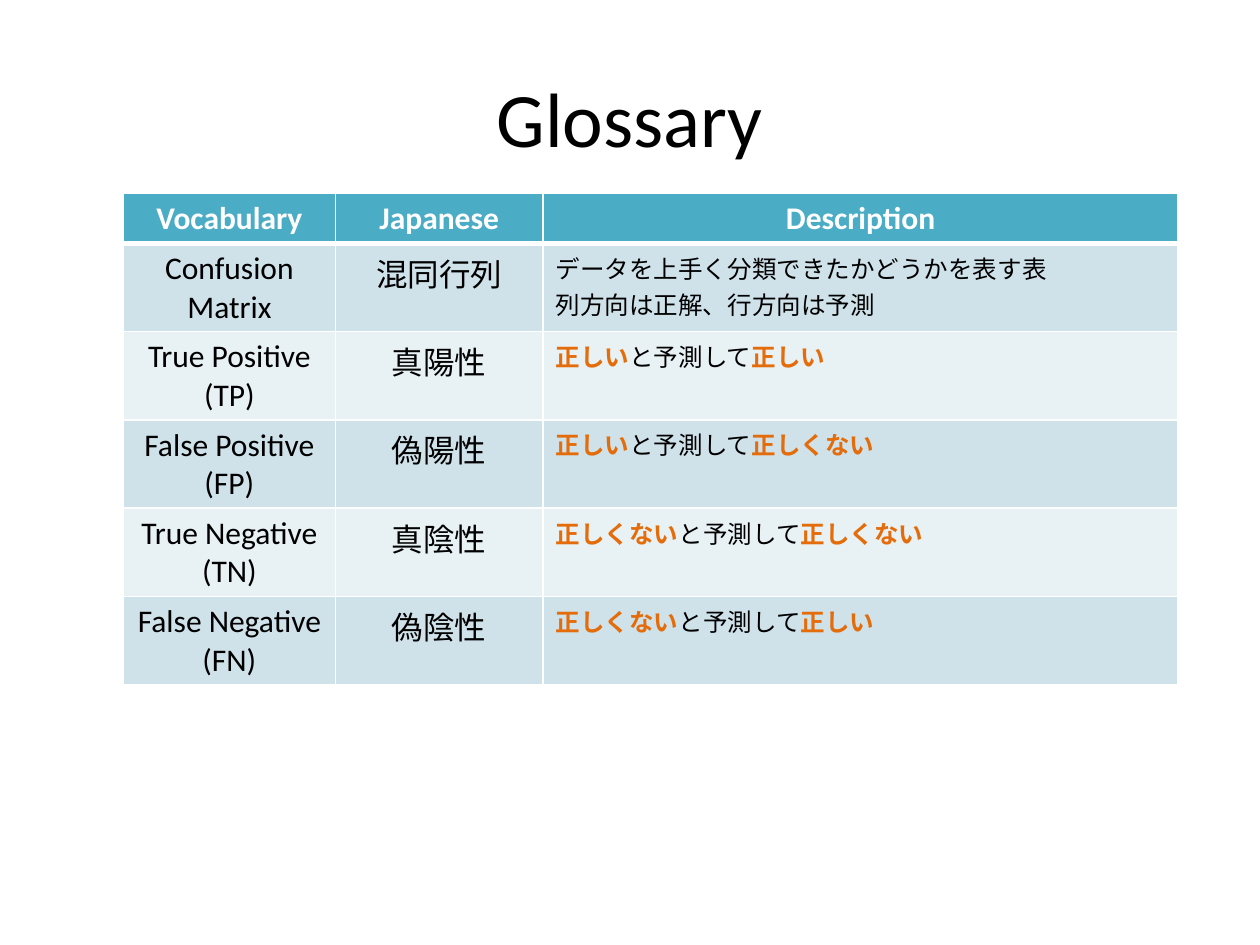
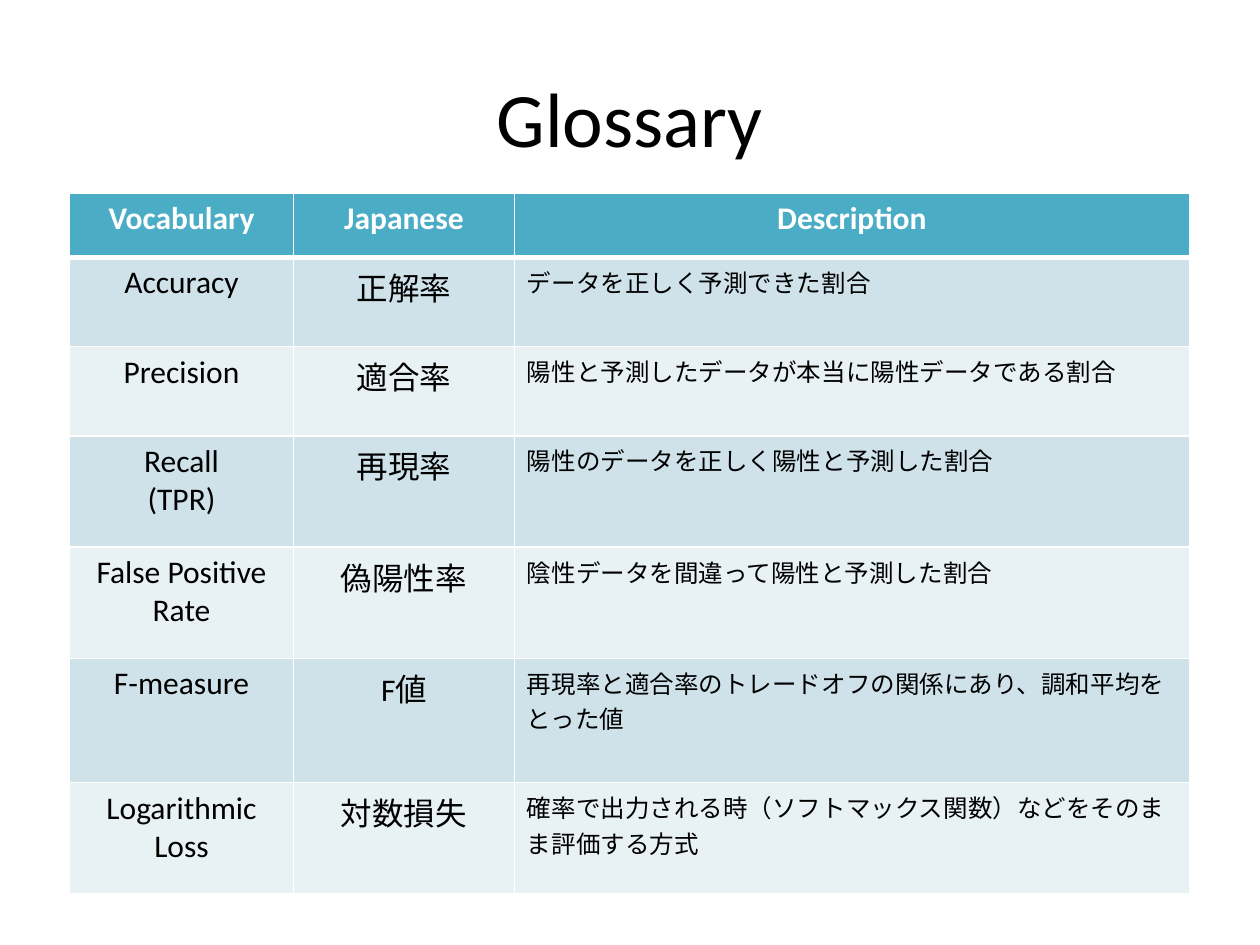
from lxml.etree import SubElement
from pptx import Presentation
from pptx.dml.color import RGBColor
from pptx.enum.lang import MSO_LANGUAGE_ID as Language
from pptx.enum.text import MSO_ANCHOR as Anchor, PP_ALIGN as Align
from pptx.oxml.ns import qn
from pptx.util import Cm, Pt

FONT = "Calibri"
BLACK = RGBColor(0x00, 0x00, 0x00)
WHITE = RGBColor(0xFF, 0xFF, 0xFF)
TEAL = RGBColor(0x4B, 0xAC, 0xC6)
BAND_DARK = RGBColor(0xCF, 0xE2, 0xEA)
BAND_LIGHT = RGBColor(0xE8, 0xF1, 0xF4)
ORANGE = RGBColor(0xE4, 0x6C, 0x0A)

HEADINGS = ("Vocabulary", "Japanese", "Description")
TABLE_TOP = Cm(3.89)
THIN, THICK = Pt(0.96), Pt(3)

# Text between asterisks is emphasised.
GLOSSARIES = [
    {
        "left": 2.49,
        "columns": (4.27, 4.19, 12.8),
        "rows": (0.89,) + (1.52,) * 5,
        "terms": [
            ("Confusion Matrix", "混同行列", "データを上手く分類できたかどうかを表す表\n列方向は正解、行方向は予測"),
            ("True Positive\n(TP)", "真陽性", "*正しい*と予測して*正しい*"),
            ("False Positive\n(FP)", "偽陽性", "*正しい*と予測して*正しくない*"),
            ("True Negative\n(TN)", "真陰性", "*正しくない*と予測して*正しくない*"),
            ("False Negative\n(FN)", "偽陰性", "*正しくない*と予測して*正しい*"),
        ],
    },
    {
        "left": 1.4,
        "columns": (4.52, 4.45, 13.61),
        "rows": (1.3, 1.8, 1.8, 2.24, 2.24, 2.51, 2.24),
        "terms": [
            ("Accuracy", "正解率", "データを正しく予測できた割合"),
            ("Precision", "適合率", "陽性と予測したデータが本当に陽性データである割合"),
            ("Recall\n(TPR)", "再現率", "陽性のデータを正しく陽性と予測した割合"),
            ("False Positive Rate", "偽陽性率", "陰性データを間違って陽性と予測した割合"),
            ("F-measure", "F値", "再現率と適合率のトレードオフの関係にあり、調和平均をとった値"),
            ("Logarithmic Loss", "対数損失", "確率で出力される時（ソフトマックス関数）などをそのまま評価する方式"),
        ],
    },
]


def write(paragraph, marked_text, size, color, bold=False):
    for index, piece in enumerate(marked_text.split("*")):
        if not piece:
            continue
        emphasised = index % 2 == 1
        run = paragraph.add_run()
        run.text = piece
        run.font.name = FONT
        run.font.size = Pt(size)
        run.font.bold = bold or emphasised
        run.font.color.rgb = ORANGE if emphasised else color
        run.font.language_id = Language.JAPANESE


def add_borders(cell, top, bottom):
    properties = cell._tc.get_or_add_tcPr()
    for side, width in (("L", THIN), ("R", THIN), ("T", top), ("B", bottom)):
        line = SubElement(properties, qn(f"a:ln{side}"), w=str(int(width)))
        SubElement(SubElement(line, qn("a:solidFill")), qn("a:srgbClr"), val=str(WHITE))


deck = Presentation()
deck.slide_width, deck.slide_height = Cm(25.4), Cm(19.05)

for glossary in GLOSSARIES:
    slide = deck.slides.add_slide(deck.slide_layouts[6])
    title = slide.shapes.add_textbox(Cm(1.27), Cm(0.76), Cm(22.86), Cm(3.18)).text_frame
    title.word_wrap = True
    title.vertical_anchor = Anchor.MIDDLE
    title.paragraphs[0].alignment = Align.CENTER
    write(title.paragraphs[0], "Glossary", 44, BLACK)

    entries = [HEADINGS] + glossary["terms"]
    widths, heights = glossary["columns"], glossary["rows"]
    table = slide.shapes.add_table(
        len(entries), len(HEADINGS), Cm(glossary["left"]), TABLE_TOP,
        Cm(sum(widths)), Cm(sum(heights)),
    ).table
    for column, width in zip(table.columns, widths):
        column.width = Cm(width)

    for row_index, (entry, height) in enumerate(zip(entries, heights)):
        table.rows[row_index].height = Cm(height)
        is_header = row_index == 0
        band = TEAL if is_header else (BAND_LIGHT, BAND_DARK)[row_index % 2]
        for column_index, content in enumerate(entry):
            cell = table.cell(row_index, column_index)
            add_borders(cell, THICK if row_index == 1 else THIN, THICK if is_header else THIN)
            cell.fill.solid()
            cell.fill.fore_color.rgb = band
            is_description = column_index == 2 and not is_header
            for line_index, line_text in enumerate(content.split("\n")):
                frame = cell.text_frame
                paragraph = frame.add_paragraph() if line_index else frame.paragraphs[0]
                paragraph.alignment = Align.LEFT if is_description else Align.CENTER
                write(paragraph, line_text, 14 if is_description else 18,
                      WHITE if is_header else BLACK, is_header)

deck.save("out.pptx")
